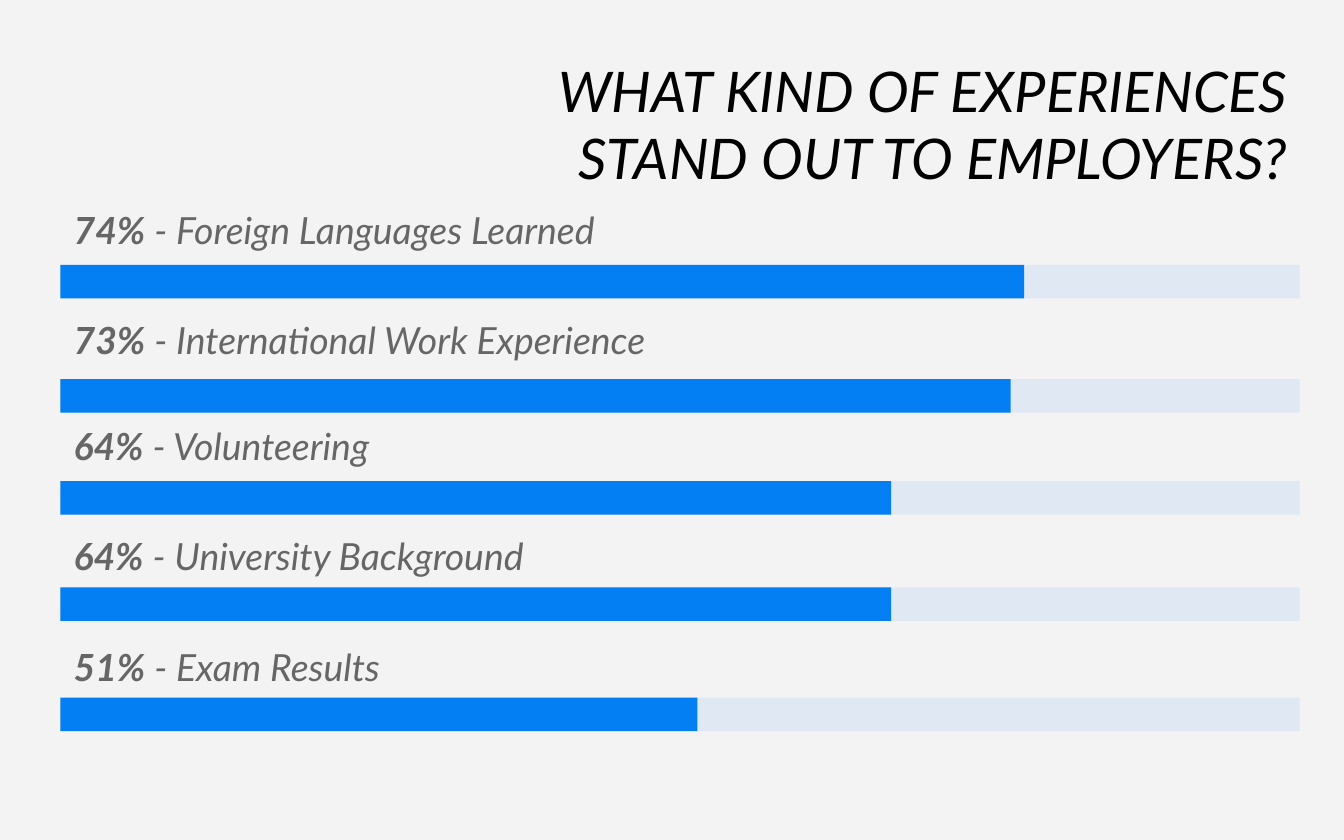
from lxml.etree import SubElement
from pptx import Presentation
from pptx.dml.color import RGBColor as RGB
from pptx.enum.shapes import MSO_SHAPE as Shape
from pptx.enum.text import MSO_ANCHOR as Anchor, MSO_AUTO_SIZE as Fit, PP_ALIGN as Align
from pptx.oxml.ns import qn
from pptx.util import Pt

BACK = RGB(0xF3, 0xF3, 0xF3)
BLUE = RGB(0x03, 0x7E, 0xF3)
GREY = RGB(0x66, 0x66, 0x66)
BLACK = RGB(0, 0, 0)

LEFT, FULL, THICK = 32.4, 663.84, 18

# share, topic, label top, label width, label height, bar top, bar width
ROWS = [
    ("74%", "Foreign Languages Learned", 105.12, 516.24, 11.52, 141.84, 516.24),
    ("73%", "International Work Experience", 167.04, 509.04, 5.76, 203.04, 509.04),
    ("64%", "Volunteering", 221.04, 277.92, 11.52, 257.76, 444.96),
    ("64%", "University Background", 280.08, 450.72, 11.52, 314.64, 444.96),
    ("51%", "Exam Results", 339.12, 277.92, 11.52, 373.68, 341.28),
]


class Deck:
    """Holds the style and the current slide."""

    font = "Lato"
    inset = 7.2

    def __init__(self, slide):
        self.slide = slide
        slide.background.fill.solid()
        slide.background.fill.fore_color.rgb = BACK

    def frame(self, shape):
        frame = shape.text_frame
        frame.word_wrap = True
        frame.auto_size = Fit.NONE
        frame.vertical_anchor = Anchor.TOP
        frame.margin_left = frame.margin_right = Pt(self.inset)
        frame.margin_top = frame.margin_bottom = Pt(self.inset)
        return frame

    def style(self, run, size, color, bold=False):
        font = run.font
        font.name, font.size = self.font, Pt(size)
        font.bold, font.italic = bold, True
        font.color.rgb = color

    def title(self, text, x, y, w, h):
        shape = self.slide.shapes.title
        shape.left, shape.top, shape.width, shape.height = map(Pt, (x, y, w, h))
        frame = self.frame(shape)
        frame.text = text
        para = frame.paragraphs[0]
        para.alignment = Align.RIGHT
        self.style(para.runs[0], 30, BLACK)

    def label(self, share, topic, x, y, w, h):
        box = self.slide.shapes.add_textbox(*map(Pt, (x, y, w, h)))
        para = self.frame(box).paragraphs[0]
        for text, bold in ((share, True), (f" - {topic}", False)):
            run = para.add_run()
            run.text = text
            self.style(run, 20, GREY, bold)

    def bar(self, x, y, w, h, alpha=100):
        bar = self.slide.shapes.add_shape(Shape.RECTANGLE, *map(Pt, (x, y, w, h)))
        bar.shadow.inherit = False
        bar.line.fill.background()
        bar.fill.solid()
        bar.fill.fore_color.rgb = BLUE
        if alpha < 100:
            color = bar.fill._xPr.find(qn("a:solidFill"))[0]
            SubElement(color, qn("a:alpha")).set("val", str(alpha * 1000))


def main():
    deck = Presentation()
    deck.slide_width, deck.slide_height = Pt(720), Pt(450)
    page = Deck(deck.slides.add_slide(deck.slide_layouts[5]))

    # Heading
    page.title("WHAT KIND OF EXPERIENCES STAND OUT TO EMPLOYERS?",
               216, 23.04, 480.96, 88.56)

    # Pale track, filled bar and label for each answer
    for share, topic, top, wide, high, y, fill in ROWS:
        page.bar(LEFT, y, FULL, THICK, alpha=8)
        page.bar(LEFT, y, fill, THICK)
        page.label(share, topic, LEFT, top, wide, high)

    deck.save("out.pptx")


if __name__ == "__main__":
    main()
